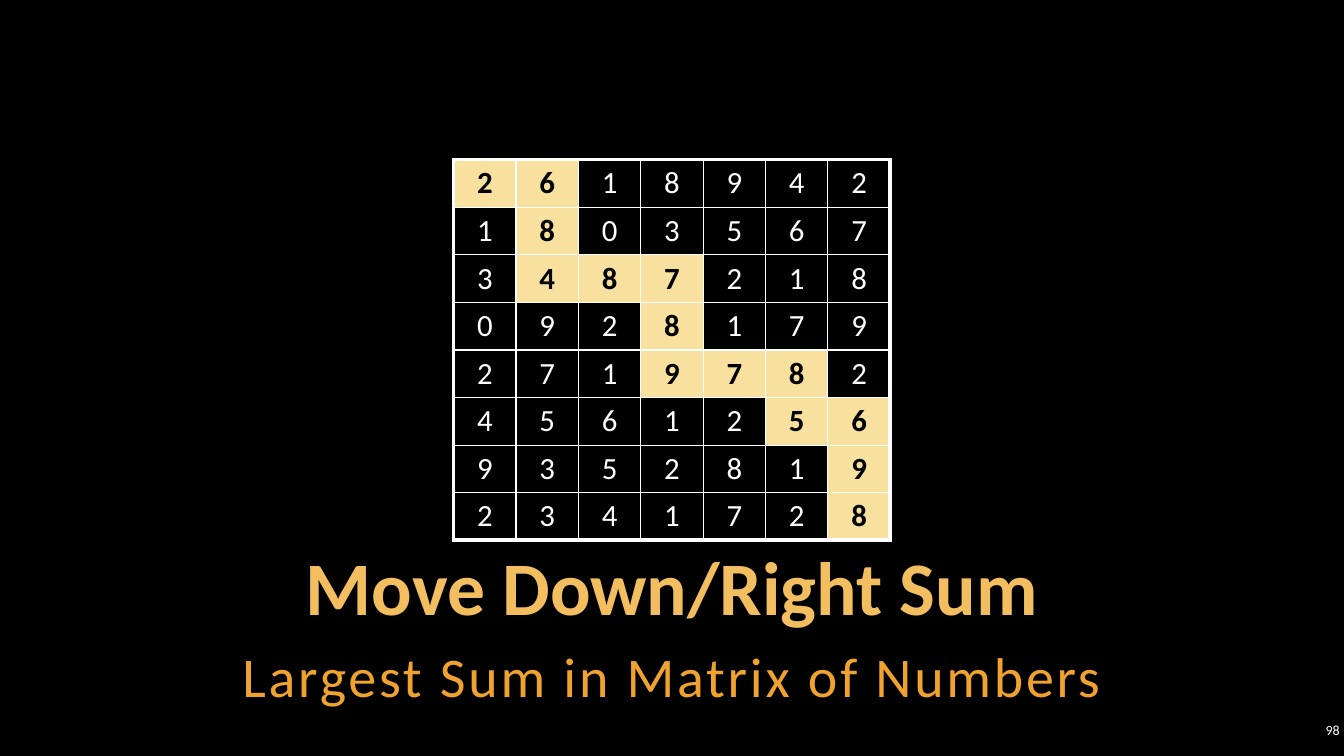
from lxml.etree import SubElement
from pptx import Presentation
from pptx.dml.color import RGBColor
from pptx.enum.text import MSO_ANCHOR, MSO_AUTO_SIZE, PP_ALIGN
from pptx.oxml.ns import qn
from pptx.util import Pt

PX = 9525  # EMU in one px
SLIDE_WIDTH, SLIDE_HEIGHT = 1280, 720
TEXT_INSET = 4
FONT = "Calibri"
COLORS = {
    "background": "000000",
    "title": "F3BE60",
    "subtitle": "F0A22E",
    "number": "FFFFFF",
    "border": "FFFFFF",
    "path_fill": "F8E19F",
    "path_number": "000000",
}
MATRIX = [
    [2, 6, 1, 8, 9, 4, 2],
    [1, 8, 0, 3, 5, 6, 7],
    [3, 4, 8, 7, 2, 1, 8],
    [0, 9, 2, 8, 1, 7, 9],
    [2, 7, 1, 9, 7, 8, 2],
    [4, 5, 6, 1, 2, 5, 6],
    [9, 3, 5, 2, 8, 1, 9],
    [2, 3, 4, 1, 7, 2, 8],
]
MOVES = "RDDRRDDRRDRDD"
INNER_BORDER, OUTER_BORDER = 1, 3


def color(name):
    return RGBColor.from_string(COLORS[name])


def emu(box):
    return [length * PX for length in box]


def path_cells(moves):
    """Return the (row, column) pairs visited from the top left corner."""
    row, column = 0, 0
    visited = {(row, column)}
    for move in moves:
        row += move == "D"
        column += move == "R"
        visited.add((row, column))
    return visited


def style_text(frame, size, color_name, bold, align):
    paragraph = frame.paragraphs[0]
    paragraph.alignment = align
    font = paragraph.runs[0].font
    font.name, font.size, font.bold = FONT, Pt(size), bold
    font.color.rgb = color(color_name)
    return paragraph


def fill_text_box(shape, box, text, size, color_name, bold, align, anchor):
    """Place a text shape in the box and return its formatted paragraph."""
    shape.left, shape.top, shape.width, shape.height = emu(box)
    frame = shape.text_frame
    frame.text = text
    frame.word_wrap = True
    frame.auto_size = MSO_AUTO_SIZE.NONE
    frame.vertical_anchor = anchor
    frame.margin_left = frame.margin_right = TEXT_INSET * PX
    frame.margin_top = frame.margin_bottom = TEXT_INSET * PX
    return style_text(frame, size, color_name, bold, align)


def add_heading(slide, box):
    """Fill the title and the subtitle below it."""
    left, top, width, _ = box
    title, subtitle = slide.placeholders
    heading = fill_text_box(title, (left, top, width, 86), "Move Down/Right Sum",
                            54, "title", True, PP_ALIGN.CENTER, MSO_ANCHOR.BOTTOM)
    heading.line_spacing = 0.9
    heading.runs[0].font._element.set("cap", "none")

    task = fill_text_box(subtitle, (left, top + 84, width, 76),
                         "Largest Sum in Matrix of Numbers",
                         40, "subtitle", False, PP_ALIGN.CENTER, MSO_ANCHOR.TOP)
    task.line_spacing = 1.05
    task.space_before, task.space_after = Pt(0), Pt(6)
    task.runs[0].font._element.set("spc", "200")


def add_slide_number(slide, box):
    fill_text_box(slide.shapes.add_textbox(*emu(box)), box, "98", 10, "number",
                  False, PP_ALIGN.RIGHT, MSO_ANCHOR.MIDDLE)


def set_borders(cell, widths):
    """Draw the cell borders; widths maps L, R, T and B to points."""
    properties = cell._tc.get_or_add_tcPr()
    for position, (side, width) in enumerate(widths.items()):
        line = SubElement(properties, qn(f"a:ln{side}"), w=str(Pt(width)))
        fill = SubElement(line, qn("a:solidFill"))
        SubElement(fill, qn("a:srgbClr"), val=COLORS["border"])
        properties.insert(position, line)


def add_matrix(slide, box):
    row_count, column_count = len(MATRIX), len(MATRIX[0])
    left, top, width, height = emu(box)
    table = slide.shapes.add_table(row_count, column_count,
                                   left, top, width, height).table
    table.first_row = table.horz_banding = False
    on_path = path_cells(MOVES)

    for row, numbers in enumerate(MATRIX):
        for column, number in enumerate(numbers):
            cell = table.cell(row, column)
            highlighted = (row, column) in on_path
            cell.text_frame.text = str(number)
            style_text(cell.text_frame, 22,
                       "path_number" if highlighted else "number",
                       highlighted, PP_ALIGN.CENTER)
            if highlighted:
                cell.fill.solid()
                cell.fill.fore_color.rgb = color("path_fill")
            else:
                cell.fill.background()
            outer_sides = {"L": column == 0, "R": column == column_count - 1,
                           "T": row == 0, "B": row == row_count - 1}
            set_borders(cell, {side: OUTER_BORDER if outer else INNER_BORDER
                               for side, outer in outer_sides.items()})


def main():
    presentation = Presentation()
    presentation.slide_width = SLIDE_WIDTH * PX
    presentation.slide_height = SLIDE_HEIGHT * PX
    section_header = presentation.slide_layouts[2]
    slide = presentation.slides.add_slide(section_header)
    slide.background.fill.solid()
    slide.background.fill.fore_color.rgb = color("background")

    add_heading(slide, (96, 520, 1088, 160))
    add_slide_number(slide, (1235, 685, 45, 21))
    add_matrix(slide, (432, 152, 416, 352))
    presentation.save("out.pptx")


if __name__ == "__main__":
    main()
